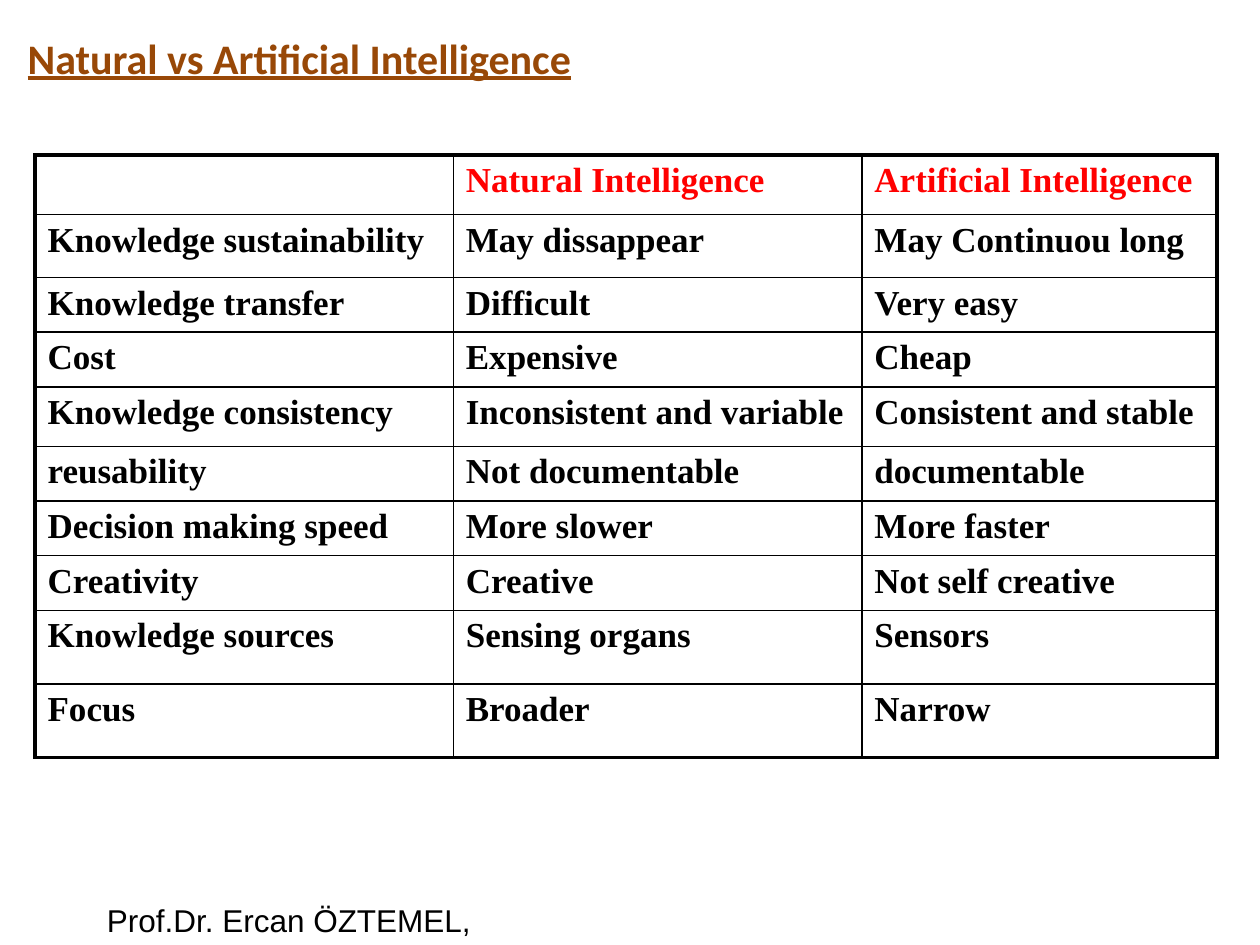
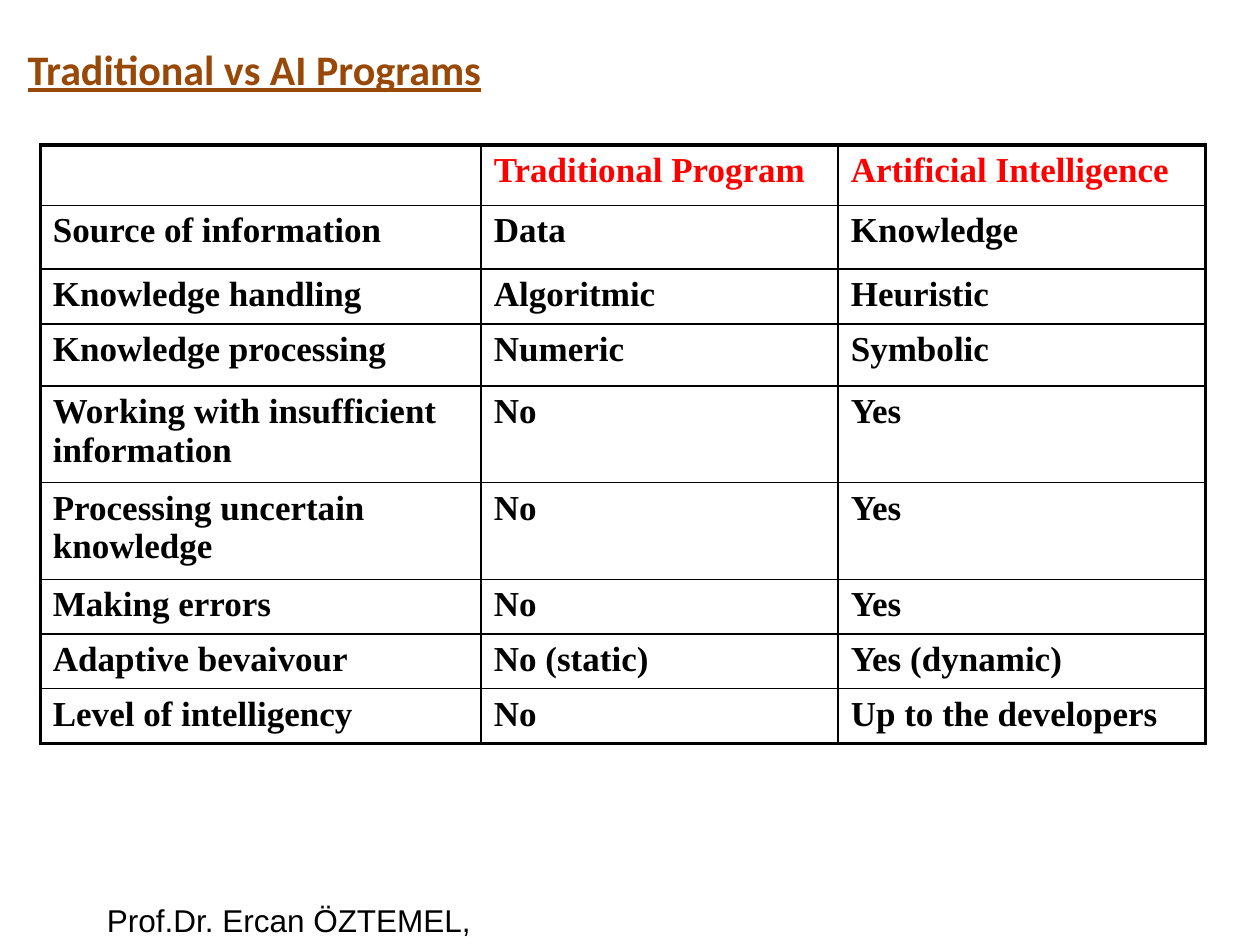
from dataclasses import dataclass

from lxml import etree
from pptx import Presentation
from pptx.dml.color import RGBColor
from pptx.enum.text import MSO_ANCHOR, MSO_AUTO_SIZE, PP_ALIGN
from pptx.oxml.ns import qn
from pptx.util import Pt

LEFT = PP_ALIGN.LEFT
MIDDLE = MSO_ANCHOR.MIDDLE
NO_FIT = MSO_AUTO_SIZE.NONE
GROW = MSO_AUTO_SIZE.SHAPE_TO_FIT_TEXT
TITLE_ONLY = 5


@dataclass(frozen=True)
class TextStyle:
    font: str
    size: float
    color: str
    bold: bool = False
    underline: bool = False


@dataclass(frozen=True)
class Theme:
    title: TextStyle = TextStyle("Calibri", 24, "984807", bold=True, underline=True)
    header: TextStyle = TextStyle("Times New Roman", 20, "FF0000", bold=True)
    body: TextStyle = TextStyle("Times New Roman", 20, "000000", bold=True)
    footer: TextStyle = TextStyle("Arial", 18, "000000")
    background: str = "FFFFFF"
    border: str = "000000"
    outer_line: float = 2.25
    inner_line: float = 1


@dataclass(frozen=True)
class Frame:
    left: float
    top: float
    width: float
    height: float


@dataclass(frozen=True)
class Comparison:
    title: str
    title_frame: Frame
    left: float
    top: float
    columns: tuple[float, ...]
    heights: tuple[float, ...]
    rows: tuple[tuple[str, ...], ...]


THEME = Theme()
FOOTER = "Prof.Dr. Ercan ÖZTEMEL,"
FOOTER_FRAME = Frame(54, 511.2, 229.7, 28.8)

COMPARISONS = (
    Comparison(
        title="Natural vs Artificial Intelligence",
        title_frame=Frame(8.6, 15.1, 683.3, 35.3),
        left=20,
        top=88.6,
        columns=(239, 233.5, 203),
        heights=(34, 36, 30, 29, 34, 30, 29, 28, 42, 42),
        rows=(
            ("", "Natural Intelligence", "Artificial Intelligence"),
            ("Knowledge sustainability", "May dissappear", "May Continuou long"),
            ("Knowledge transfer", "Difficult", "Very easy"),
            ("Cost", "Expensive", "Cheap"),
            ("Knowledge consistency", "Inconsistent and variable", "Consistent and stable"),
            ("reusability", "Not documentable", "documentable"),
            ("Decision making speed", "More slower", "More faster"),
            ("Creativity", "Creative", "Not self creative"),
            ("Knowledge sources", "Sensing organs", "Sensors"),
            ("Focus", "Broader", "Narrow"),
        ),
    ),
    Comparison(
        title="Traditional vs AI Programs",
        title_frame=Frame(8.6, 15.1, 700.6, 48.2),
        left=23,
        top=82.8,
        columns=(252, 204, 210),
        heights=(34.5, 36.5, 31.5, 35.2, 55.3, 55.3, 31, 31, 31.5),
        rows=(
            ("", "Traditional Program", "Artificial Intelligence"),
            ("Source of information", "Data", "Knowledge"),
            ("Knowledge handling", "Algoritmic", "Heuristic"),
            ("Knowledge processing", "Numeric", "Symbolic"),
            ("Working with insufficient information", "No", "Yes"),
            ("Processing uncertain knowledge", "No", "Yes"),
            ("Making errors", "No", "Yes"),
            ("Adaptive bevaivour", "No (static)", "Yes (dynamic)"),
            ("Level of intelligency", "No", "Up to the developers"),
        ),
    ),
)


def write(text_frame, text: str, style: TextStyle) -> None:
    para = text_frame.paragraphs[0]
    para.alignment = LEFT
    span = para.add_run()
    span.text = text
    span.font.name = style.font
    span.font.size = Pt(style.size)
    span.font.bold = style.bold
    span.font.underline = style.underline
    span.font.color.rgb = RGBColor.from_string(style.color)


def add_title(page, text: str, frame: Frame) -> None:
    title = page.shapes.title
    title.left, title.top = Pt(frame.left), Pt(frame.top)
    title.width, title.height = Pt(frame.width), Pt(frame.height)
    title.text_frame.auto_size = NO_FIT
    title.text_frame.vertical_anchor = MIDDLE
    write(title.text_frame, text, THEME.title)


def add_footer(page) -> None:
    frame = FOOTER_FRAME
    box = page.shapes.add_textbox(
        Pt(frame.left), Pt(frame.top), Pt(frame.width), Pt(frame.height)
    )
    box.text_frame.word_wrap = False
    box.text_frame.auto_size = GROW
    write(box.text_frame, FOOTER, THEME.footer)


def add_border(cell, side: str, outer: bool) -> None:
    width = THEME.outer_line if outer else THEME.inner_line
    properties = cell._tc.get_or_add_tcPr()
    line = etree.SubElement(properties, qn(f"a:ln{side}"), w=str(Pt(width)))
    fill = etree.SubElement(line, qn("a:solidFill"))
    etree.SubElement(fill, qn("a:srgbClr"), val=THEME.border)


def add_comparison_table(page, comparison: Comparison) -> None:
    row_count, column_count = len(comparison.rows), len(comparison.columns)
    table = page.shapes.add_table(
        row_count,
        column_count,
        Pt(comparison.left),
        Pt(comparison.top),
        Pt(sum(comparison.columns)),
        Pt(sum(comparison.heights)),
    ).table
    table.first_row = False
    table.horz_banding = False
    for column, width in zip(table.columns, comparison.columns):
        column.width = Pt(width)
    for row, height in zip(table.rows, comparison.heights):
        row.height = Pt(height)

    for row_index, texts in enumerate(comparison.rows):
        style = THEME.body if row_index else THEME.header
        for column_index, text in enumerate(texts):
            cell = table.cell(row_index, column_index)
            add_border(cell, "L", column_index == 0)
            add_border(cell, "R", column_index == column_count - 1)
            add_border(cell, "T", row_index == 0)
            add_border(cell, "B", row_index == row_count - 1)
            cell.fill.background()
            if text:
                write(cell.text_frame, text, style)


def main() -> None:
    deck = Presentation()
    deck.slide_width, deck.slide_height = Pt(720), Pt(540)
    background = deck.slide_master.background.fill
    background.solid()
    background.fore_color.rgb = RGBColor.from_string(THEME.background)
    for comparison in COMPARISONS:
        page = deck.slides.add_slide(deck.slide_layouts[TITLE_ONLY])
        add_footer(page)
        add_title(page, comparison.title, comparison.title_frame)
        add_comparison_table(page, comparison)
    deck.save("out.pptx")


if __name__ == "__main__":
    main()
